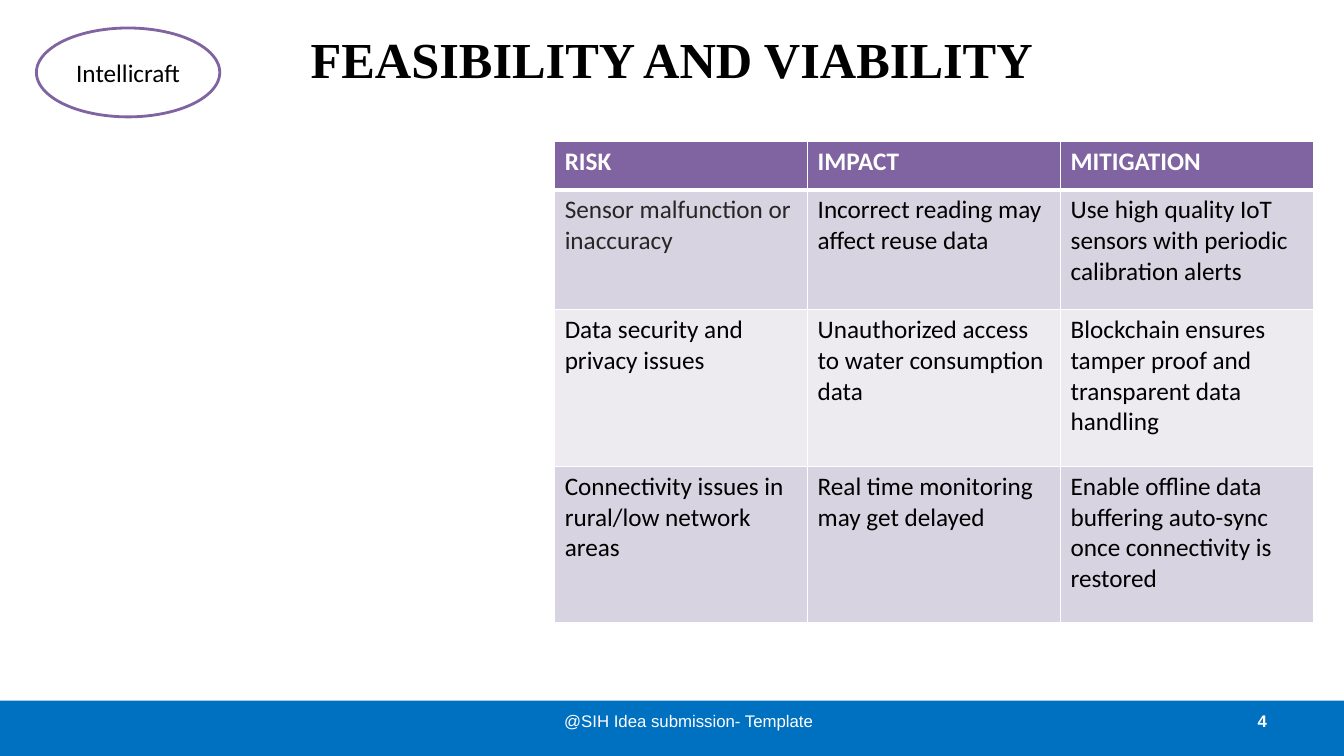
"""Build the feasibility and viability slide with its risk table."""
from dataclasses import dataclass

from lxml import etree
from pptx import Presentation
from pptx.dml.color import RGBColor
from pptx.enum.shapes import MSO_SHAPE
from pptx.enum.text import MSO_ANCHOR, PP_ALIGN
from pptx.oxml.ns import qn
from pptx.util import Pt

LEFT, CENTER, RIGHT = PP_ALIGN.LEFT, PP_ALIGN.CENTER, PP_ALIGN.RIGHT
TOP, MIDDLE = MSO_ANCHOR.TOP, MSO_ANCHOR.MIDDLE
RECTANGLE, OVAL = MSO_SHAPE.RECTANGLE, MSO_SHAPE.OVAL

TITLE = "FEASIBILITY AND VIABILITY"
TEAM = "Intellicraft"
FOOTER = "@SIH Idea submission- Template"
PAGE = "4"
RISKS = [
    ("RISK", "IMPACT", "MITIGATION"),
    ("Sensor malfunction or inaccuracy",
     "Incorrect reading may affect reuse data",
     "Use high quality IoT sensors with periodic calibration alerts"),
    ("Data security and privacy issues",
     "Unauthorized access to water consumption data",
     "Blockchain ensures tamper proof and transparent data handling"),
    ("Connectivity issues in rural/low network areas",
     "Real time monitoring may get delayed",
     "Enable offline data buffering auto-sync once connectivity is restored"),
]


@dataclass(frozen=True)
class Theme:
    black: str = "000000"
    soft_black: str = "262626"
    white: str = "FFFFFF"
    blue: str = "0070C0"
    purple: str = "8064A2"
    bands: tuple = ("D8D3E0", "EDEAF0")
    title_font: str = "Times New Roman"
    body_font: str = "Calibri"
    footer_font: str = "Arial"
    title_size: int = 36
    body_size: int = 18
    footer_size: int = 12


THEME = Theme()
SLIDE_W, SLIDE_H = 960, 540
BAR_TOP = 500.4
FOOTER_H = 28.8
TABLE_LEFT, TABLE_TOP, COL_W = 396.2, 101, 180.7
ROW_HEIGHTS = (34.5, 85.7, 111.9, 111.9)


def box(left, top, width, height):
    return Pt(left), Pt(top), Pt(width), Pt(height)


def write(tf, text, *, font=THEME.body_font, size=THEME.body_size,
          color=THEME.black, bold=False, align=LEFT, anchor=TOP):
    tf.word_wrap = True
    tf.vertical_anchor = anchor
    p = tf.paragraphs[0]
    p.alignment = align
    r = p.add_run()
    r.text = text
    r.font.name = font
    r.font.size = Pt(size)
    r.font.bold = bold
    r.font.color.rgb = RGBColor.from_string(color)


def add_shape(slide, kind, place, fill, line=None):
    sp = slide.shapes.add_shape(kind, *place)
    sp.shadow.inherit = False
    sp.fill.solid()
    sp.fill.fore_color.rgb = RGBColor.from_string(fill)
    if line:
        sp.line.color.rgb = RGBColor.from_string(line)
        sp.line.width = Pt(2)
    else:
        sp.line.fill.background()
    return sp


def add_borders(cell, top, bottom):
    tc_pr = cell._tc.get_or_add_tcPr()
    for side, width in (("L", 1), ("R", 1), ("T", top), ("B", bottom)):
        ln = etree.SubElement(tc_pr, qn(f"a:ln{side}"), w=str(Pt(width)))
        fill = etree.SubElement(ln, qn("a:solidFill"))
        etree.SubElement(fill, qn("a:srgbClr"), val=THEME.white)


def add_risk_table(slide):
    cols = len(RISKS[0])
    place = box(TABLE_LEFT, TABLE_TOP, cols * COL_W, sum(ROW_HEIGHTS))
    table = slide.shapes.add_table(len(RISKS), cols, *place).table
    for col in table.columns:
        col.width = Pt(COL_W)
    for i, (row, height) in enumerate(zip(RISKS, ROW_HEIGHTS)):
        table.rows[i].height = Pt(height)
        header = i == 0
        fill = THEME.purple if header else THEME.bands[(i - 1) % 2]
        for j, text in enumerate(row):
            cell = table.cell(i, j)
            add_borders(cell, 3 if i == 1 else 1, 3 if header else 1)
            cell.fill.solid()
            cell.fill.fore_color.rgb = RGBColor.from_string(fill)
            color = THEME.white if header else THEME.black
            if (i, j) == (1, 0):
                color = THEME.soft_black
            write(cell.text_frame, text, color=color, bold=header)


def add_footer(slide, text, left, width, **style):
    tb = slide.shapes.add_textbox(*box(left, BAR_TOP, width, FOOTER_H))
    write(tb.text_frame, text, font=THEME.footer_font, size=THEME.footer_size,
          color=THEME.white, anchor=MIDDLE, **style)


def main():
    prs = Presentation()
    prs.slide_width, prs.slide_height = Pt(SLIDE_W), Pt(SLIDE_H)
    slide = prs.slides.add_slide(prs.slide_layouts[5])

    add_shape(slide, RECTANGLE,
              box(0, BAR_TOP, SLIDE_W, SLIDE_H - BAR_TOP), THEME.blue)

    title = slide.shapes.title
    title.left, title.top, title.width, title.height = box(48, -3.6, 864, 90)
    write(title.text_frame, TITLE, font=THEME.title_font, size=THEME.title_size,
          bold=True, align=CENTER, anchor=MIDDLE)

    add_footer(slide, PAGE, 688, 224, bold=True, align=RIGHT)
    add_footer(slide, FOOTER, 366, 252, align=CENTER)

    team = add_shape(slide, OVAL, box(26, 20, 131, 63.5),
                     THEME.white, THEME.purple)
    write(team.text_frame, TEAM, align=CENTER, anchor=MIDDLE)

    add_risk_table(slide)
    prs.save("out.pptx")


if __name__ == "__main__":
    main()
